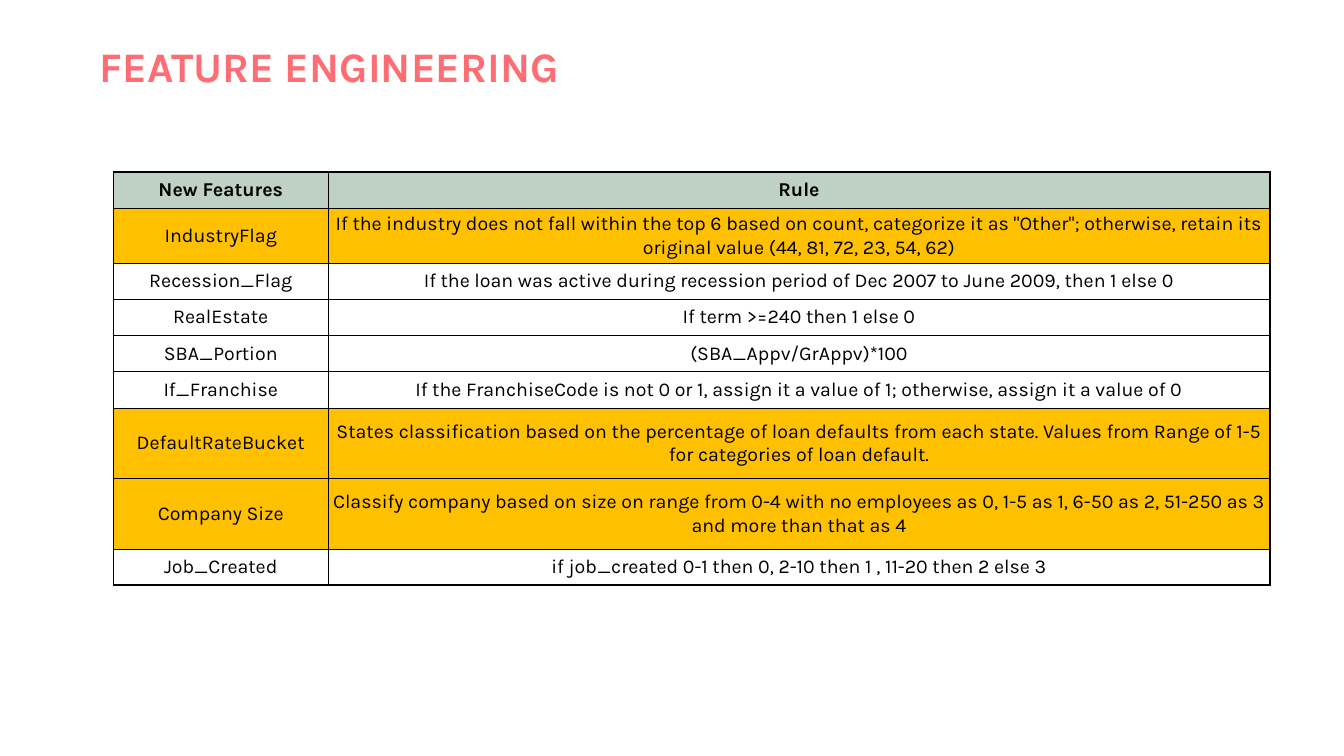
from dataclasses import dataclass

from lxml.etree import SubElement
from pptx import Presentation
from pptx.dml.color import RGBColor
from pptx.enum.text import MSO_ANCHOR, MSO_AUTO_SIZE, PP_ALIGN
from pptx.oxml.ns import qn
from pptx.util import Inches, Pt


@dataclass(frozen=True)
class Theme:
    font: str = "Karla"
    title: str = "FE6D73"
    ink: str = "000000"
    header: str = "BFD1C5"
    highlight: str = "FFC000"
    plain: str = "FFFFFF"
    title_size: float = 45
    title_leading: float = 45
    table_size: float = 21
    table_leading: float = 25.2
    outer_line: float = 2.25
    inner_line: float = 0.37


THEME = Theme()


def write(frame, text, size, leading, color=THEME.ink, bold=False, align=PP_ALIGN.LEFT):
    frame.word_wrap = True
    paragraph = frame.paragraphs[0]
    paragraph.alignment = align
    paragraph.line_spacing = Pt(leading)
    run = paragraph.add_run()
    run.text = text
    run.font.name = THEME.font
    run.font.size = Pt(size)
    run.font.bold = bold
    run.font.color.rgb = RGBColor.from_string(color)


def add_borders(cell, outer_sides):
    """Rule all four sides, with the heavy line on those at the table's edge."""
    properties = cell._tc.get_or_add_tcPr()
    for side in ("L", "R", "T", "B"):
        weight = THEME.outer_line if side in outer_sides else THEME.inner_line
        line = SubElement(properties, qn(f"a:ln{side}"), w=str(Pt(weight)))
        fill = SubElement(line, qn("a:solidFill"))
        SubElement(fill, qn("a:srgbClr"), val=THEME.ink)


# Name, rule, row height, fill
features = [
    ("New Features", "Rule", 0.54, THEME.header),
    ("IndustryFlag",
     'If the industry does not fall within the top 6 based on count, categorize it as "Other"; '
     "otherwise, retain its original value (44, 81, 72, 23, 54, 62)", 0.81, THEME.highlight),
    ("Recession_Flag",
     "If the loan was active during recession period of Dec 2007 to June 2009, then 1 else 0",
     0.54, THEME.plain),
    ("RealEstate", "If term >=240 then 1 else 0", 0.54, THEME.plain),
    ("SBA_Portion", "(SBA_Appv/GrAppv)*100", 0.54, THEME.plain),
    ("If_Franchise",
     "If the FranchiseCode is not 0 or 1, assign it a value of 1; otherwise, assign it a value of 0",
     0.54, THEME.plain),
    ("DefaultRateBucket",
     "States classification based on the percentage of loan defaults from each state. "
     "Values from Range of 1-5 for categories of loan default.", 1.05, THEME.highlight),
    ("Company Size",
     "Classify company based on size on range from 0-4 with no employees as 0, 1-5 as 1, "
     "6-50 as 2, 51-250 as 3 and more than that as 4", 1.05, THEME.highlight),
    ("Job_Created", "if job_created 0-1 then 0, 2-10 then 1 , 11-20 then 2 else 3",
     0.54, THEME.plain),
]
column_widths = (3.19, 14.02)

prs = Presentation()
prs.slide_width = Inches(20)
prs.slide_height = Inches(11.25)
slide = prs.slides.add_slide(prs.slide_layouts[6])

heading = slide.shapes.add_textbox(Inches(1.48), Inches(0.73), Inches(17.05), Inches(0.67)).text_frame
heading.margin_left = heading.margin_right = heading.margin_top = heading.margin_bottom = 0
heading.auto_size = MSO_AUTO_SIZE.SHAPE_TO_FIT_TEXT
write(heading, "FEATURE ENGINEERING", THEME.title_size, THEME.title_leading,
      color=THEME.title, bold=True)

table_height = sum(height for _, _, height, _ in features)
table = slide.shapes.add_table(
    len(features), len(column_widths), Inches(1.69), Inches(2.56),
    Inches(sum(column_widths)), Inches(table_height)).table
table.horz_banding = False
for column, width in zip(table.columns, column_widths):
    column.width = Inches(width)

last_row = len(features) - 1
for row, (name, rule, height, fill) in enumerate(features):
    table.rows[row].height = Inches(height)
    for col, text in enumerate((name, rule)):
        cell = table.cell(row, col)
        cell.margin_left = cell.margin_right = Inches(0.01)
        cell.margin_top = cell.margin_bottom = Inches(0.01)
        cell.vertical_anchor = MSO_ANCHOR.MIDDLE
        write(cell.text_frame, text, THEME.table_size, THEME.table_leading,
              bold=row == 0, align=PP_ALIGN.CENTER)
        outer_sides = "LR"[col] + {0: "T", last_row: "B"}.get(row, "")
        add_borders(cell, outer_sides)
        cell.fill.solid()
        cell.fill.fore_color.rgb = RGBColor.from_string(fill)

prs.save("out.pptx")
